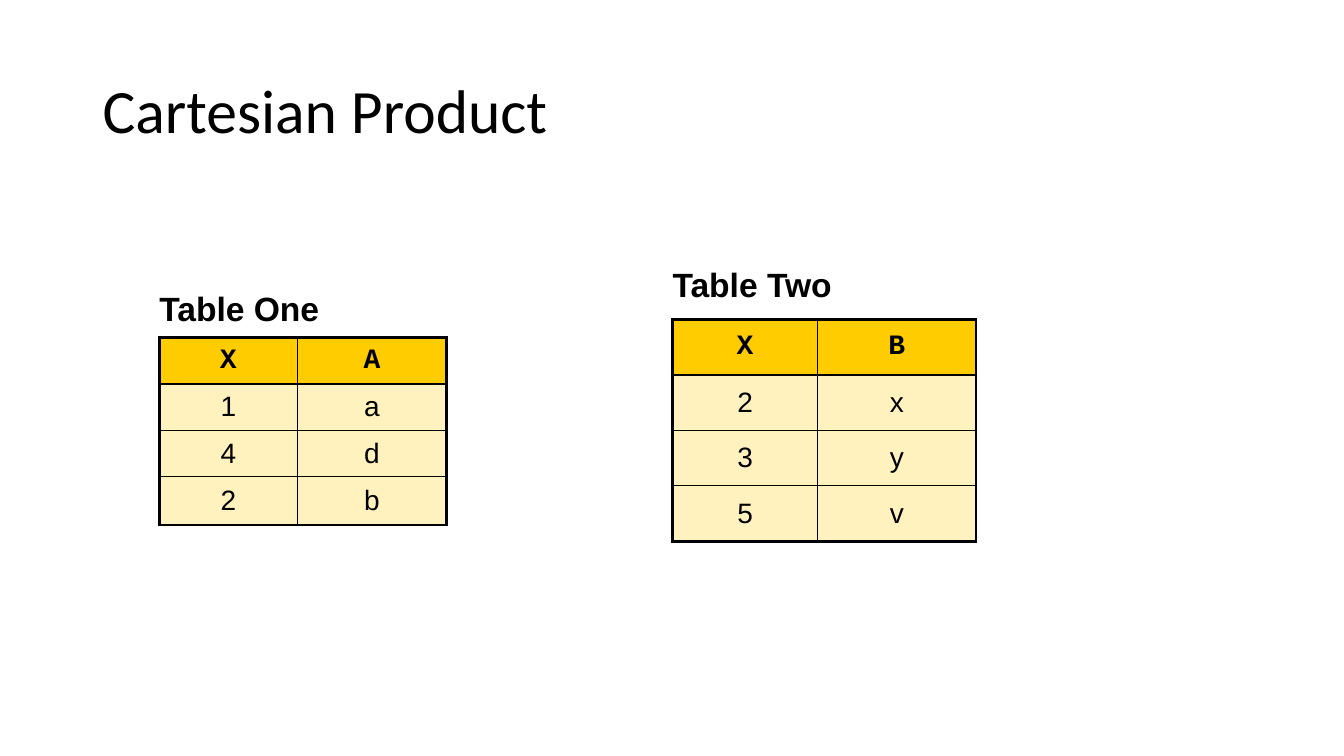
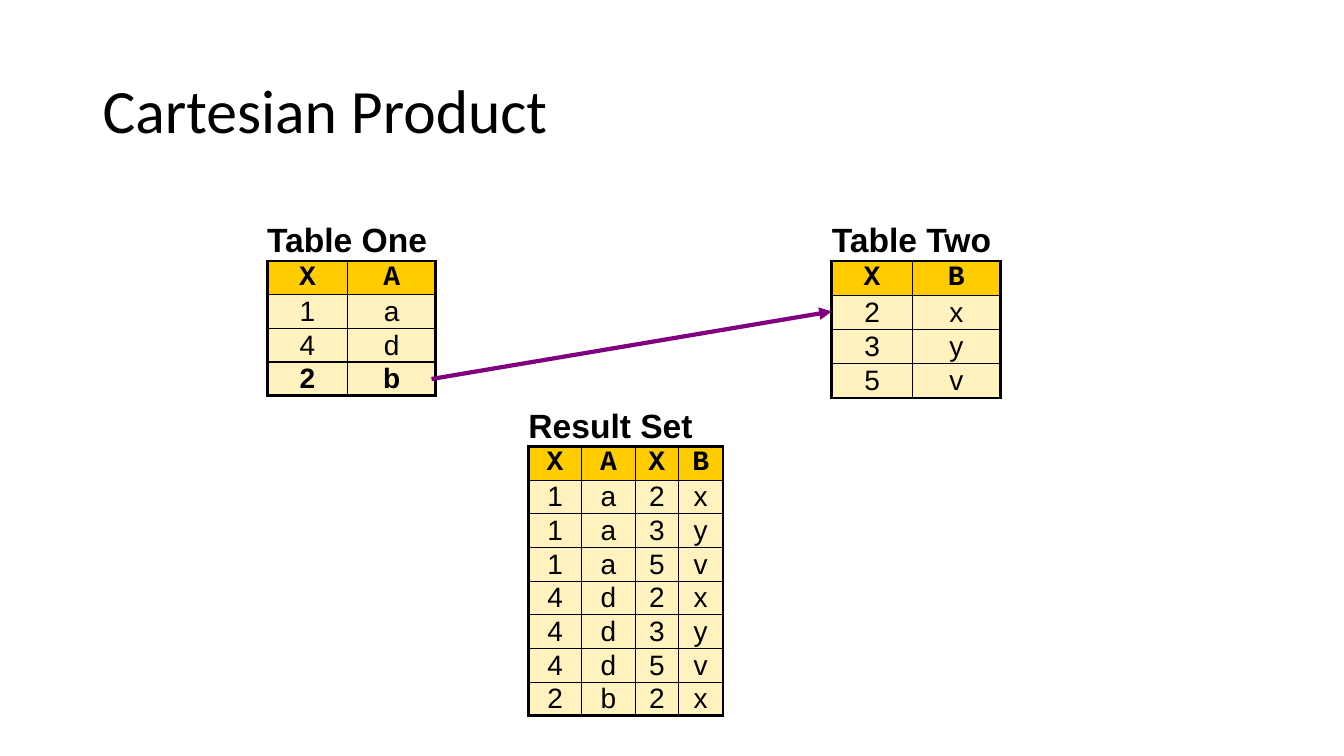
import itertools

import lxml.etree
import pptx
import pptx.dml.color
import pptx.enum.shapes
import pptx.enum.text
import pptx.oxml.ns
import pptx.util

Inches = pptx.util.Inches
Pt = pptx.util.Pt

COLORS = {
    "text": "000000",
    "border": "000000",
    "header": "FFCC00",
    "body": "FFF2BE",
    "arrow": "800080",
}
TITLE_FONT = "Calibri"
BODY_FONT = "Arial"
HEADER_FONT = "Courier New"
OUTER_BORDER = 2.25
INNER_BORDER = 1

TABLE_ONE = [("1", "a"), ("4", "d"), ("2", "b")]
TABLE_TWO = [("2", "x"), ("3", "y"), ("5", "v")]
SHOWN_RESULTS = 7


def rgb(name):
    return pptx.dml.color.RGBColor.from_string(COLORS[name])


def add_xml(parent, tag, **attributes):
    return lxml.etree.SubElement(parent, pptx.oxml.ns.qn(tag), **attributes)


def style_paragraph(paragraph, font, size, bold=False):
    paragraph.font.name = font
    paragraph.font.size = Pt(size)
    paragraph.font.bold = bold
    paragraph.font.color.rgb = rgb("text")


def add_title(slide, text):
    box = slide.shapes.add_textbox(Inches(0.92), Inches(0.4), Inches(11.5), Inches(1.45))
    frame = box.text_frame
    frame.word_wrap = True
    frame.vertical_anchor = pptx.enum.text.MSO_ANCHOR.MIDDLE
    paragraph = frame.paragraphs[0]
    paragraph.text = text
    paragraph.line_spacing = 0.9
    style_paragraph(paragraph, TITLE_FONT, 44)


def set_borders(cell, left, right, top, bottom):
    properties = cell._tc.get_or_add_tcPr()
    for side, width in zip("LRTB", (left, right, top, bottom)):
        line = add_xml(properties, f"a:ln{side}", w=str(Pt(width)))
        if width:
            fill = add_xml(line, "a:solidFill")
            add_xml(fill, "a:srgbClr", val=COLORS["border"])
        else:
            add_xml(line, "a:noFill")


def set_cell_text(cell, text, font, size, bold, alignment, side_margin):
    cell.margin_left = cell.margin_right = Inches(side_margin)
    cell.margin_top = cell.margin_bottom = 0
    cell.vertical_anchor = pptx.enum.text.MSO_ANCHOR.MIDDLE
    paragraph = cell.text_frame.paragraphs[0]
    paragraph.text = text
    paragraph.alignment = alignment
    style_paragraph(paragraph, font, size, bold)


def fill_caption(table, caption):
    cells = list(table.rows[0].cells)
    for cell in cells:
        set_borders(cell, 0, 0, 0, OUTER_BORDER)
        cell.fill.background()
    cells[0].merge(cells[-1])
    set_cell_text(cells[0], caption, BODY_FONT, 24, True, pptx.enum.text.PP_ALIGN.LEFT, 0)


def fill_grid(table, records, bold_last):
    last_row = len(records) - 1
    last_column = len(records[0]) - 1
    for row, record in enumerate(records):
        is_header = row == 0
        for column, text in enumerate(record):
            cell = table.cell(row + 1, column)
            edges = (column == 0, column == last_column, is_header, row == last_row)
            set_borders(cell, *(OUTER_BORDER if edge else INNER_BORDER for edge in edges))
            cell.fill.solid()
            cell.fill.fore_color.rgb = rgb("header" if is_header else "body")
            set_cell_text(
                cell,
                text,
                HEADER_FONT if is_header else BODY_FONT,
                20,
                is_header or (bold_last and row == last_row),
                pptx.enum.text.PP_ALIGN.CENTER,
                0.1,
            )


def add_data_table(slide, caption, header, rows, left, top, widths,
                   caption_height, row_height, last_height=None, bold_last=False):
    records = [tuple(header), *rows]
    heights = [caption_height] + [row_height] * len(records)
    heights[-1] = last_height or row_height
    table = slide.shapes.add_table(
        len(heights), len(widths), Inches(left), Inches(top),
        Inches(sum(widths)), Inches(sum(heights)),
    ).table
    table.first_row = False
    table.horz_banding = False
    for column, width in zip(table.columns, widths):
        column.width = Inches(width)
    for row, height in zip(table.rows, heights):
        row.height = Inches(height)
    fill_caption(table, caption)
    fill_grid(table, records, bold_last)


def add_arrow(slide, start, end):
    arrow = slide.shapes.add_connector(
        pptx.enum.shapes.MSO_CONNECTOR.STRAIGHT, *map(Inches, (*start, *end))
    )
    arrow.line.color.rgb = rgb("arrow")
    arrow.line.width = Pt(3)
    add_xml(arrow.line._get_or_add_ln(), "a:tailEnd", type="triangle")
    add_xml(arrow._element.spPr, "a:effectLst")


def add_slide(presentation):
    slide = presentation.slides.add_slide(presentation.slide_layouts[6])
    add_title(slide, "Cartesian Product")
    return slide


def build_source_tables(presentation):
    slide = add_slide(presentation)
    add_data_table(slide, "Table One", "XA", TABLE_ONE, 1.58, 2.8, (1.37, 1.48),
                   0.55, 0.46, last_height=0.48)
    add_data_table(slide, "Table Two", "XB", TABLE_TWO, 6.67, 2.51, (1.44, 1.57), 0.66, 0.55)


def build_result_set(presentation):
    slide = add_slide(presentation)
    pairs = itertools.product(TABLE_ONE, TABLE_TWO)
    results = [one + two for one, two in itertools.islice(pairs, SHOWN_RESULTS)]
    add_data_table(slide, "Table One", "XA", TABLE_ONE, 2.65, 2.19, (0.8, 0.87),
                   0.4, 0.33, last_height=0.31, bold_last=True)
    add_data_table(slide, "Table Two", "XB", TABLE_TWO, 8.25, 2.19, (0.8, 0.87), 0.4, 0.34)
    add_data_table(slide, "Result Set", "XAXB", results, 5.24, 4.03,
                   (0.53, 0.53, 0.43, 0.44), 0.4, 0.33)
    add_arrow(slide, (4.28, 3.76), (8.25, 3.09))


def main():
    presentation = pptx.Presentation()
    presentation.slide_width = Inches(13.33)
    presentation.slide_height = Inches(7.5)
    build_source_tables(presentation)
    build_result_set(presentation)
    presentation.save("out.pptx")


if __name__ == "__main__":
    main()
